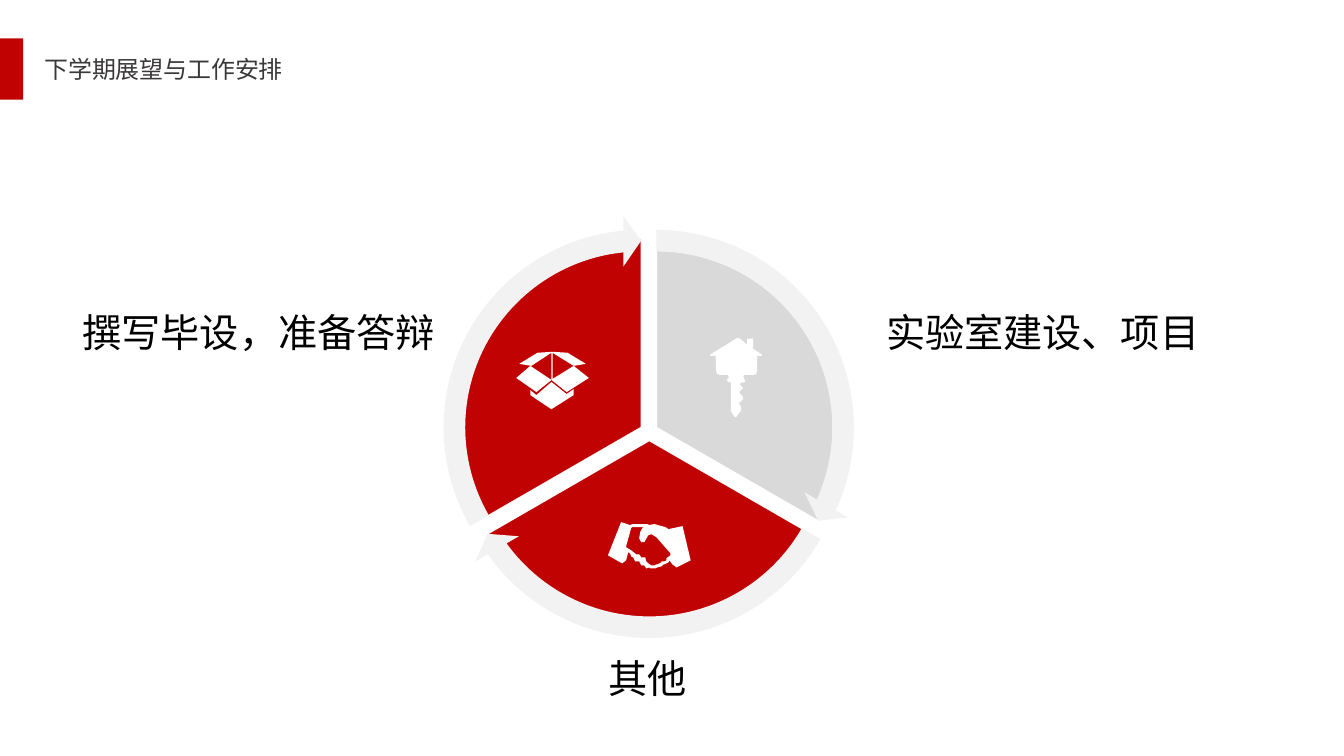
"""Build the slide on next term's outlook and work plan."""
from dataclasses import dataclass
from math import cos, radians, sin

from lxml.etree import SubElement
from pptx import Presentation
from pptx.dml.color import RGBColor
from pptx.enum.shapes import MSO_SHAPE as Preset
from pptx.enum.text import MSO_ANCHOR as Anchor, MSO_AUTO_SIZE as AutoSize, PP_ALIGN as Align
from pptx.oxml.ns import qn
from pptx.util import Inches, Pt


@dataclass(frozen=True)
class Theme:
    red: str = "C00202"
    gray: str = "D9D9D9"
    pale: str = "F2F2F2"
    white: str = "FFFFFF"
    title_color: str = "3B3838"
    label_color: str = "000000"
    font: str = "Noto Sans CJK SC"
    title_size: float = 17.1
    label_size: float = 28


HANDSHAKE = [
    [(6.77, 5.22), (6.63, 5.25), (6.6, 5.23), (6.49, 5.2), (6.43, 5.21), (6.43, 5.2),
     (6.27, 5.2), (6.25, 5.21), (6.16, 5.18), (6.03, 5.51), (6.17, 5.59), (6.21, 5.56),
     (6.23, 5.48), (6.25, 5.49), (6.26, 5.52), (6.28, 5.53), (6.3, 5.57), (6.34, 5.57),
     (6.36, 5.61), (6.39, 5.61), (6.41, 5.64), (6.44, 5.63), (6.45, 5.64), (6.5, 5.64),
     (6.52, 5.63), (6.56, 5.62), (6.58, 5.6), (6.59, 5.6), (6.63, 5.58), (6.64, 5.56),
     (6.67, 5.6), (6.71, 5.63), (6.85, 5.56)],
    [(6.62, 5.53), (6.61, 5.54), (6.61, 5.56), (6.59, 5.57), (6.57, 5.57), (6.56, 5.57),
     (6.56, 5.58), (6.52, 5.6), (6.51, 5.6), (6.49, 5.61), (6.46, 5.61), (6.43, 5.59),
     (6.41, 5.57), (6.4, 5.53), (6.36, 5.53), (6.34, 5.5), (6.31, 5.5), (6.26, 5.46),
     (6.21, 5.43), (6.21, 5.42), (6.26, 5.24), (6.27, 5.23), (6.39, 5.23), (6.37, 5.24),
     (6.35, 5.28), (6.34, 5.34), (6.36, 5.38), (6.39, 5.38), (6.43, 5.31), (6.46, 5.3),
     (6.51, 5.33), (6.65, 5.49), (6.65, 5.51)],
]
BOX_LID = [
    [(5.47, 3.77), (5.62, 3.89), (5.84, 3.75), (5.69, 3.63), (5.48, 3.76), (5.48, 3.5),
     (5.69, 3.63), (5.81, 3.61), (5.63, 3.5), (5.48, 3.49), (5.33, 3.5), (5.15, 3.61),
     (5.27, 3.63), (5.47, 3.5)],
]
BOX_FLAP = [[(5.12, 3.75), (5.32, 3.89), (5.47, 3.77), (5.26, 3.63)]]
BOX_BASE = [
    [(5.47, 3.79), (5.32, 3.92), (5.26, 3.87), (5.26, 3.92), (5.47, 4.06), (5.69, 3.92),
     (5.69, 3.86), (5.62, 3.91)],
]
HOUSE_KEY = [
    [(7.1, 3.66), (7.1, 3.53), (7.05, 3.53), (7.04, 3.52), (7.3, 3.36), (7.32, 3.35),
     (7.34, 3.36), (7.41, 3.42), (7.41, 3.36), (7.47, 3.36), (7.47, 3.46), (7.56, 3.52),
     (7.55, 3.53), (7.51, 3.53), (7.51, 3.67), (7.5, 3.71), (7.47, 3.72), (7.38, 3.72),
     (7.37, 3.73), (7.39, 3.78), (7.39, 3.79), (7.34, 3.8), (7.34, 3.82), (7.37, 3.85),
     (7.33, 3.89), (7.37, 3.94), (7.37, 3.96), (7.33, 4), (7.35, 4.04), (7.35, 4.07),
     (7.3, 4.14), (7.28, 4.13), (7.25, 4.08), (7.25, 3.79), (7.22, 3.79), (7.21, 3.77),
     (7.23, 3.74), (7.22, 3.72), (7.14, 3.72), (7.11, 3.71)],
]


def write_text(frame, text, *, size, color, font):
    frame.word_wrap = False
    frame.auto_size = AutoSize.SHAPE_TO_FIT_TEXT
    frame.vertical_anchor = Anchor.TOP
    paragraph = frame.paragraphs[0]
    paragraph.alignment = Align.LEFT
    run = paragraph.add_run()
    run.text = text
    run.font.size = Pt(size)
    run.font.name = font
    run.font.color.rgb = RGBColor.from_string(color)
    SubElement(run.font._element, qn("a:ea"), typeface=font)


class SlideBuilder:
    def __init__(self, slide, theme):
        self.slide = slide
        self.theme = theme

    def paint(self, shape, fill, outline=None):
        shape.shadow.inherit = False
        shape.fill.solid()
        shape.fill.fore_color.rgb = RGBColor.from_string(fill)
        if outline:
            shape.line.color.rgb = RGBColor.from_string(outline)
            shape.line.width = Pt(1)
        else:
            shape.line.fill.background()

    def preset(self, kind, left, top, width, height, fill, adjustments=()):
        shape = self.slide.shapes.add_shape(
            kind, Inches(left), Inches(top), Inches(width), Inches(height))
        for index, value in enumerate(adjustments):
            shape.adjustments[index] = value
        self.paint(shape, fill)

    def outline(self, contours, fill, line=None):
        contours = [[(Inches(x), Inches(y)) for x, y in points] for points in contours]
        builder = self.slide.shapes.build_freeform(*contours[0][0], scale=1.0)
        for index, points in enumerate(contours):
            if index:
                builder.move_to(*points[0])
            builder.add_line_segments(points[1:], close=True)
        self.paint(builder.convert_to_shape(), fill, line)

    def sector(self, center_x, center_y, start, fill, radius=1.87, sweep=120):
        angles = [radians(start + step) for step in range(0, sweep + 1, 2)]
        arc = [(center_x + radius * cos(a), center_y + radius * sin(a)) for a in angles]
        self.outline([[(center_x, center_y)] + arc], fill, self.theme.white)

    def ring_arrow(self, center_x, center_y, head, tail, size=4.2):
        self.preset(Preset.CIRCULAR_ARROW, center_x - size / 2, center_y - size / 2,
                    size, size, self.theme.pale, (0.051, 3.275, head, tail, 0.059))

    def title(self, text, left, top, width, height):
        title = self.slide.shapes.title
        title.left, title.top = Inches(left), Inches(top)
        title.width, title.height = Inches(width), Inches(height)
        write_text(title.text_frame, text, size=self.theme.title_size,
                   color=self.theme.title_color, font=self.theme.font)

    def label(self, text, left, top, width, height=0.57):
        box = self.slide.shapes.add_textbox(
            Inches(left), Inches(top), Inches(width), Inches(height))
        write_text(box.text_frame, text, size=self.theme.label_size,
                   color=self.theme.label_color, font=self.theme.font)


def main():
    theme = Theme()
    presentation = Presentation()
    presentation.slide_width, presentation.slide_height = Inches(13.33), Inches(7.5)
    slide = presentation.slides.add_slide(presentation.slide_layouts[5])
    builder = SlideBuilder(slide, theme)

    builder.preset(Preset.RECTANGLE, 0, 0.38, 0.23, 0.61, theme.red)
    builder.title("下学期展望与工作安排", 0.34, 0.49, 2.6, 0.39)

    segments = [
        (6.51, 4.24, -90, theme.gray, 14.725, 161.994),
        (6.44, 4.37, 30, theme.red, 86.72, 18.005),
        (6.36, 4.24, 150, theme.red, 158.73, 90),
    ]
    for center_x, center_y, start, fill, _, _ in segments:
        builder.sector(center_x, center_y, start, fill)
    for center_x, center_y, _, _, head, tail in segments:
        builder.ring_arrow(center_x, center_y, round(head, 2), round(tail, 2))

    for icon in (HANDSHAKE, BOX_LID, BOX_FLAP, BOX_BASE, HOUSE_KEY):
        builder.outline(icon, theme.white)

    builder.label("撰写毕设，准备答辩", 0.72, 3.01, 3.74)
    builder.label("实验室建设、项目", 8.69, 3.01, 3.34)
    builder.label("其他", 5.94, 6.44, 0.99)
    presentation.save("out.pptx")


if __name__ == "__main__":
    main()
